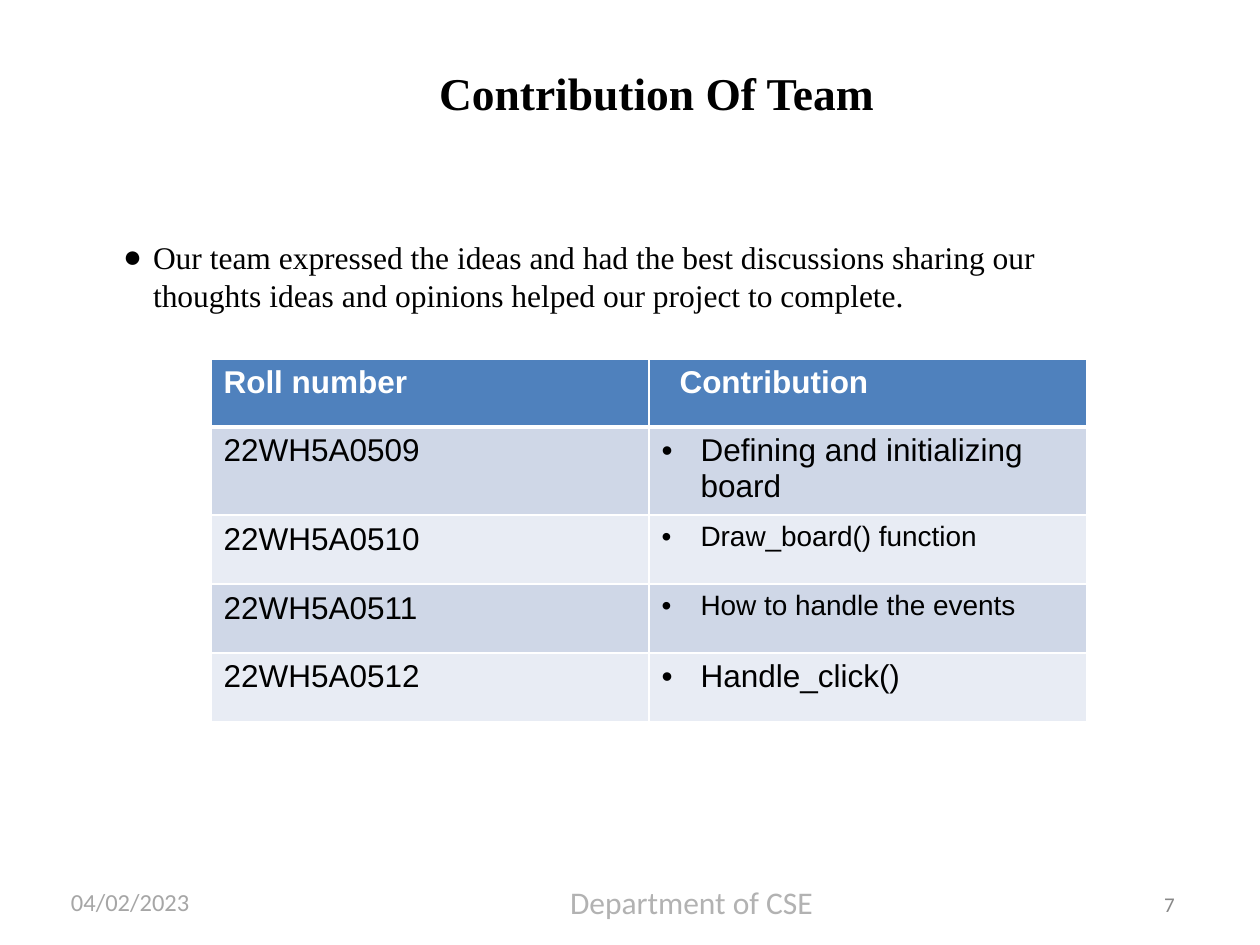
from dataclasses import dataclass
from typing import Optional

import lxml.etree
import pptx
import pptx.dml.color
import pptx.enum.text
import pptx.oxml.ns
import pptx.util

EMU_PER_PX = 914400 / 126
ALIGN = pptx.enum.text.PP_ALIGN


@dataclass(frozen=True)
class Theme:
    black: str = "000000"
    white: str = "FFFFFF"
    header: str = "4F81BD"
    bands: tuple = ("CFD7E7", "E8ECF4")
    date: str = "A6A6A6"
    footer: str = "B2B2B2"
    number: str = "888888"
    serif: str = "Times New Roman"
    sans: str = "Arial"
    small_print: str = "Calibri"
    title_pt: int = 26
    body_pt: int = 18
    compact_pt: int = 16
    date_pt: int = 14
    number_pt: int = 12
    rule_pt: int = 1
    header_rule_pt: int = 3


T = Theme()


@dataclass(frozen=True)
class Style:
    font: str
    size: int
    color: str
    bold: bool = False


@dataclass(frozen=True)
class Para:
    text: str
    style: Style
    align: Optional[ALIGN] = None
    indent: int = 0
    bullet: str = ""
    spacing: Optional[float] = None


@dataclass(frozen=True)
class Box:
    left: int
    top: int
    width: int
    height: int
    para: Para
    inset_x: int = 0
    inset_y: int = 0


@dataclass(frozen=True)
class Member:
    roll: str
    task: str
    task_pt: int = T.body_pt


def px(n: int) -> pptx.util.Emu:
    return pptx.util.Emu(round(n * EMU_PER_PX))


def rgb(color: str) -> pptx.dml.color.RGBColor:
    return pptx.dml.color.RGBColor.from_string(color)


def child(parent, tag: str, **attrs: str):
    return lxml.etree.SubElement(parent, pptx.oxml.ns.qn(tag), attrs)


def write(tf, para: Para) -> None:
    p = tf.paragraphs[0]
    if para.align is not None:
        p.alignment = para.align
    if para.spacing:
        p.line_spacing = para.spacing
    if para.indent:
        pPr = p._p.get_or_add_pPr()
        pPr.set("marL", str(px(para.indent)))
        pPr.set("indent", str(-px(para.indent) if para.bullet else 0))
        if para.bullet:
            child(child(pPr, "a:buClr"), "a:srgbClr", val=T.black)
            child(pPr, "a:buFont", typeface=para.style.font)
            child(pPr, "a:buChar", char=para.bullet)
    r = p.add_run()
    r.text = para.text
    r.font.name = para.style.font
    r.font.size = pptx.util.Pt(para.style.size)
    r.font.bold = para.style.bold
    r.font.color.rgb = rgb(para.style.color)


def draw_box(s, box: Box) -> None:
    sp = s.shapes.add_textbox(px(box.left), px(box.top), px(box.width), px(box.height))
    tf = sp.text_frame
    tf.word_wrap = True
    tf.margin_left = tf.margin_right = px(box.inset_x)
    tf.margin_top = tf.margin_bottom = px(box.inset_y)
    write(tf, box.para)


def draw_cell(cell, para: Para, fill: str, top_pt: int, bottom_pt: int) -> None:
    write(cell.text_frame, para)
    cell.fill.solid()
    cell.fill.fore_color.rgb = rgb(fill)
    tcPr = cell._tc.get_or_add_tcPr()
    sides = (("L", T.rule_pt), ("R", T.rule_pt), ("T", top_pt), ("B", bottom_pt))
    for i, (side, width) in enumerate(sides):
        ln = child(tcPr, f"a:ln{side}", w=str(pptx.util.Pt(width)))
        child(child(ln, "a:solidFill"), "a:srgbClr", val=T.white)
        tcPr.insert(i, ln)


def draw_table(s, headings: tuple[Para, Para], members: list[Member]) -> None:
    left, top, col_w, header_h, row_h = 211, 359, 438, 68, 69
    n = len(members)
    table = s.shapes.add_table(
        n + 1, 2, px(left), px(top), px(2 * col_w), px(header_h + n * row_h)
    ).table
    for col in table.columns:
        col.width = px(col_w)
    for i, row in enumerate(table.rows):
        row.height = px(row_h if i else header_h)
    for j, heading in enumerate(headings):
        draw_cell(table.cell(0, j), heading, T.header, T.rule_pt, T.header_rule_pt)
    for i, m in enumerate(members):
        paras = (
            Para(m.roll, Style(T.sans, T.body_pt, T.black)),
            Para(m.task, Style(T.sans, m.task_pt, T.black), indent=39, bullet="•"),
        )
        top_pt = T.rule_pt if i else T.header_rule_pt
        for j, para in enumerate(paras):
            draw_cell(table.cell(i + 1, j), para, T.bands[i % 2], top_pt, T.rule_pt)


HEADING = Style(T.sans, T.body_pt, T.white, bold=True)
HEADINGS = (Para("Roll number", HEADING), Para("Contribution", HEADING, indent=18))

MEMBERS = [
    Member("22WH5A0509", "Defining and initializing board"),
    Member("22WH5A0510", "Draw_board() function", T.compact_pt),
    Member("22WH5A0511", "How to handle the events", T.compact_pt),
    Member("22WH5A0512", "Handle_click()"),
]

BOXES = [
    Box(123, 238, 1003, 121, Para(
        "Our team expressed the ideas and had the best discussions sharing our "
        "thoughts ideas and opinions helped our project to complete.",
        Style(T.serif, T.body_pt, T.black), indent=30, bullet="●")),
    Box(427, 59, 525, 67, Para(
        "Contribution Of Team", Style(T.serif, T.title_pt, T.black, bold=True)), 12, 6),
    Box(59, 881, 210, 42, Para(
        "04/02/2023", Style(T.small_print, T.date_pt, T.date)), 12, 6),
    Box(381, 883, 621, 38, Para(
        "Department of CSE", Style(T.small_print, T.body_pt, T.footer), ALIGN.CENTER)),
    Box(1159, 891, 32, 27, Para(
        "7", Style(T.small_print, T.number_pt, T.number), indent=5, spacing=1.03)),
]


def main() -> None:
    prs = pptx.Presentation()
    prs.slide_width, prs.slide_height = px(1260), px(945)
    s = prs.slides.add_slide(prs.slide_layouts[6])
    for box in BOXES:
        draw_box(s, box)
    draw_table(s, HEADINGS, MEMBERS)
    prs.save("out.pptx")


if __name__ == "__main__":
    main()
